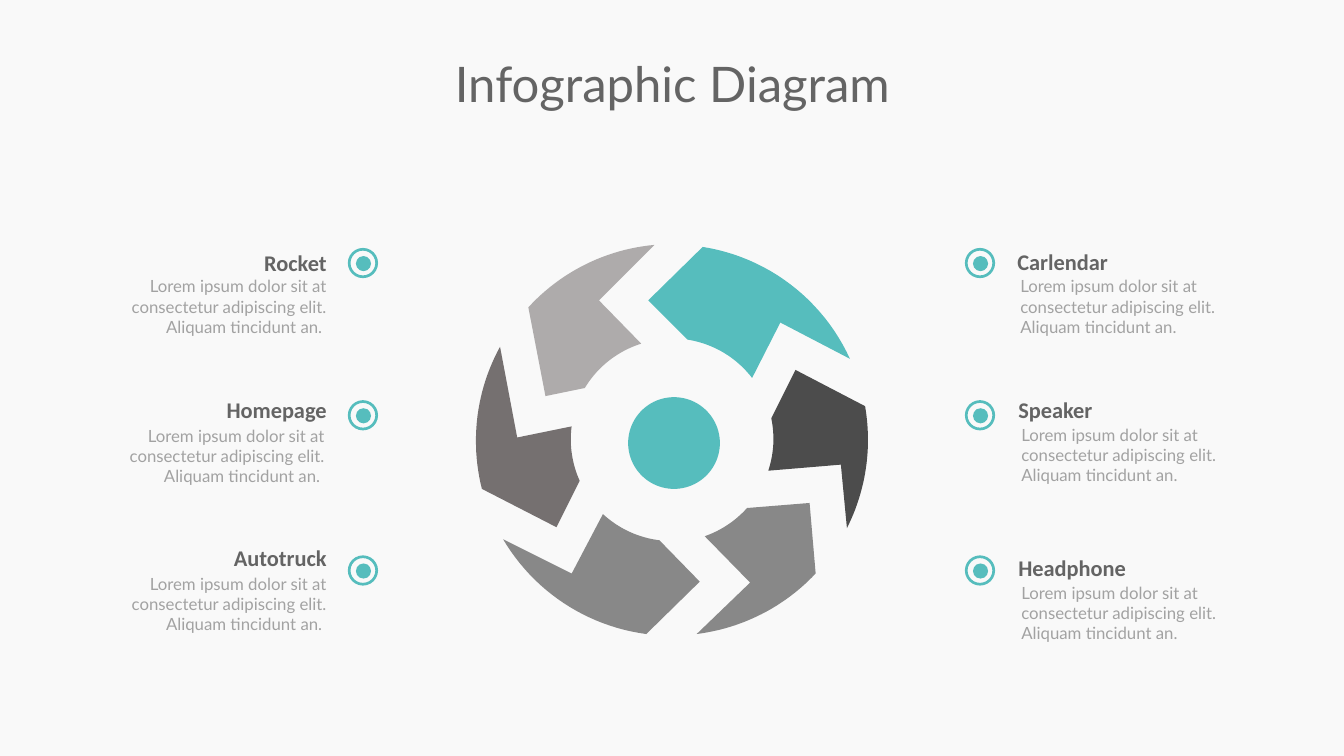
import math
from pptx import Presentation, util as u
from pptx.dml.color import RGBColor
from pptx.enum import shapes, text

TEAL = RGBColor(0x56, 0xBD, 0xBD)
DARK = RGBColor(0x4C, 0x4C, 0x4C)
GREY = RGBColor(0x88, 0x88, 0x88)
BROWN = RGBColor(0x75, 0x70, 0x70)
PALE = RGBColor(0xAE, 0xAB, 0xAB)
INK = RGBColor(0x64, 0x64, 0x64)
SOFT = RGBColor(0xA2, 0xA2, 0xA2)
BACK = RGBColor(0xF9, 0xF9, 0xF9)

deck = Presentation()
deck.slide_width, deck.slide_height = u.Inches(13.33), u.Inches(7.5)
slide = deck.slides.add_slide(deck.slide_layouts[6])
slide.background.fill.solid()
slide.background.fill.fore_color.rgb = BACK

# Grid of 1333 columns by 750 rows
CELL = deck.slide_width // 1333


def paint(shape, color):
    shape.shadow.inherit = False
    shape.fill.solid()
    shape.fill.fore_color.rgb = color
    shape.line.fill.background()


def write(words, x, y, w, h, size, face, color, align, bold=False):
    box = slide.shapes.add_textbox(x * CELL, y * CELL, w * CELL, h * CELL)
    frame = box.text_frame
    frame.word_wrap = True
    frame.margin_left = frame.margin_right = 0
    frame.margin_top = frame.margin_bottom = 0
    para = frame.paragraphs[0]
    para.text = words
    para.alignment = align
    para.font.size, para.font.name = u.Pt(size), face
    para.font.color.rgb, para.font.bold = color, bold


# Title
write("Infographic Diagram", 434, 53, 466, 59, 35, "Lato", INK,
      text.PP_ALIGN.CENTER)

# Wheel blades: outer start, outer end, notch, inner start, inner end, tip
MID_X, MID_Y, STEPS = 666.5, 436, 24
blades = [
    (TEAL, [(697, 245), (843, 356), (774, 320), (746, 375), (682, 337), (643, 298)]),
    (DARK, [(858, 403), (840, 524), (834, 461), (762, 467), (765, 415), (789, 367)]),
    (GREY, [(809, 569), (691, 629), (744, 578), (699, 532), (741, 504), (803, 499)]),
    (GREY, [(641, 629), (499, 535), (567, 569), (598, 510), (654, 536), (694, 577)]),
    (BROWN, [(478, 485), (496, 344), (513, 434), (567, 423), (575, 477), (552, 523)]),
    (PALE, [(524, 305), (649, 243), (594, 298), (636, 341), (580, 385), (541, 393)]),
]
for color, ends in blades:
    edge = []
    for i, (x, y) in enumerate(ends):
        edge.append((x, y))
        if i in (0, 3):  # the outer and inner sides are arcs
            far_x, far_y = ends[i + 1]
            r1 = math.hypot(x - MID_X, y - MID_Y)
            r2 = math.hypot(far_x - MID_X, far_y - MID_Y)
            a1 = math.atan2(y - MID_Y, x - MID_X)
            turn = math.atan2(far_y - MID_Y, far_x - MID_X) - a1
            turn = math.remainder(turn, math.tau)
            for k in range(1, STEPS):
                t = k / STEPS
                r, a = r1 + (r2 - r1) * t, a1 + turn * t
                edge.append((MID_X + r * math.cos(a), MID_Y + r * math.sin(a)))
    dots = [(round(x * CELL), round(y * CELL)) for x, y in edge]
    path = slide.shapes.build_freeform(*dots[0])
    path.add_line_segments(dots[1:])
    paint(path.convert_to_shape(), color)

# Hub
hub = slide.shapes.add_shape(shapes.MSO_SHAPE.OVAL, 623 * CELL, 394 * CELL,
                             91 * CELL, 91 * CELL)
paint(hub, TEAL)

# Labels: name, head column, head row, body column, body row
LOREM = "Lorem ipsum dolor sit at consectetur adipiscing elit. Aliquam tincidunt an."
RINGS = [246, 397, 551]
sides = [
    (345, 209, text.PP_ALIGN.RIGHT, LOREM + " ", [
        ("Rocket", 202, 247, 115, 274),
        ("Homepage", 202, 393, 113, 422),
        ("Autotruck", 202, 540, 115, 569)]),
    (957, 216, text.PP_ALIGN.LEFT, LOREM, [
        ("Carlendar", 1009, 246, 1012, 274),
        ("Speaker", 1010, 393, 1013, 421),
        ("Headphone", 1010, 550, 1013, 578)]),
]
for left, wide, align, body, items in sides:
    for top, (name, head_x, head_y, body_x, body_y) in zip(RINGS, items):
        ring = slide.shapes.add_shape(shapes.MSO_SHAPE.DONUT, left * CELL,
                                      top * CELL, 30 * CELL, 30 * CELL)
        ring.adjustments[0] = 0.09
        paint(ring, TEAL)
        dot = slide.shapes.add_shape(shapes.MSO_SHAPE.OVAL, (left + 8) * CELL,
                                     (top + 8) * CELL, 15 * CELL, 15 * CELL)
        paint(dot, TEAL)
        write(name, head_x, head_y, 122, 27, 16, "Calibri", INK, align, True)
        write(body, body_x, body_y, wide, 61, 12, "Lato", SOFT, align)

deck.save("out.pptx")
